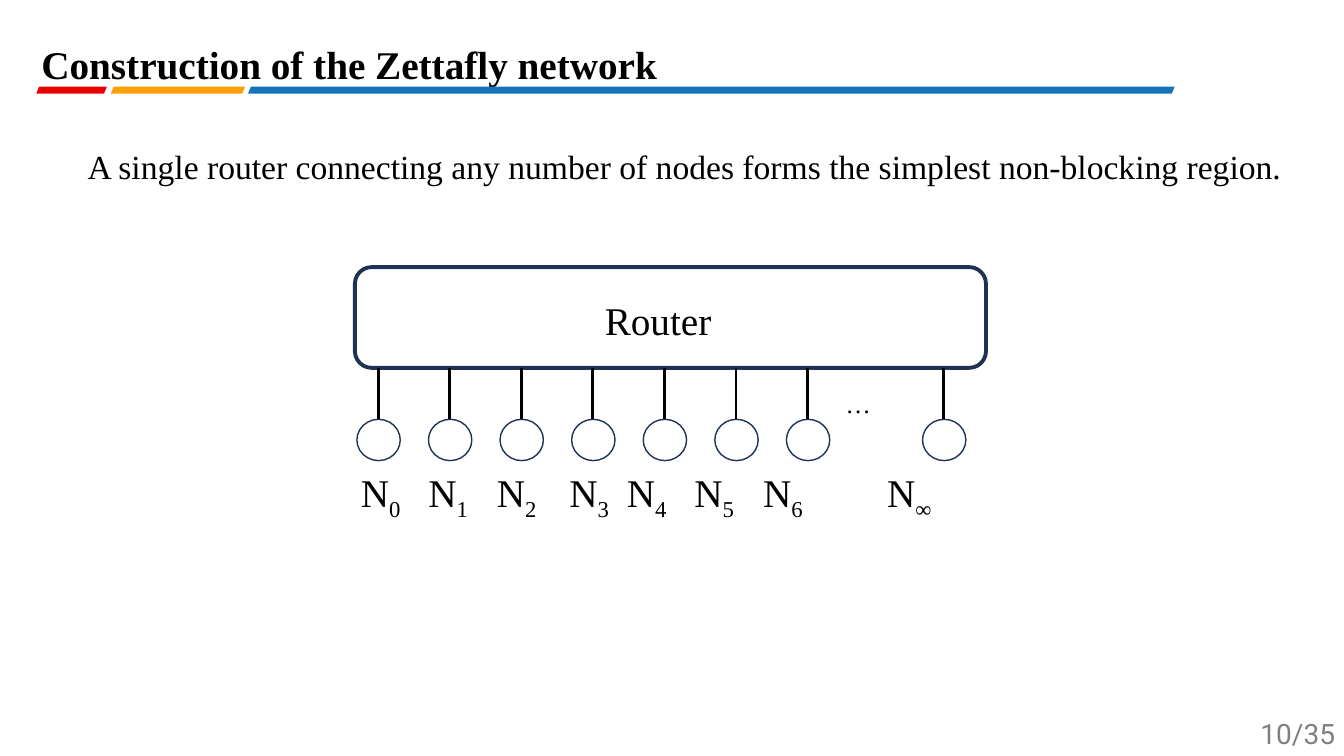
from lxml.etree import SubElement
from pptx import Presentation
from pptx.dml.color import RGBColor
from pptx.enum.shapes import MSO_CONNECTOR, MSO_SHAPE
from pptx.enum.text import MSO_ANCHOR, MSO_AUTO_SIZE, PP_ALIGN
from pptx.oxml.ns import qn
from pptx.util import Inches, Pt

HUES = {"blue": "1674BA", "red": "EB0000", "gold": "FD9F02", "gray": "808080",
        "black": "000000", "navy": "1E3256", "white": "FFFFFF"}
SERIF = "Times New Roman"


class Deck:
    """Hold the style and the current slide, and draw its elements."""

    def __init__(self):
        self.show = Presentation()
        self.show.slide_width, self.show.slide_height = Inches(13.33), Inches(7.5)
        self.slide = self.show.slides.add_slide(self.show.slide_layouts[5])

    def hue(self, name):
        return RGBColor.from_string(HUES[name])

    def style(self, para, size, hue="black", face=SERIF, bold=False):
        font = para.font
        font.size, font.name, font.bold = Pt(size), face, bold
        font.color.rgb = self.hue(hue)

    def title(self, text, *box):
        head = self.slide.shapes.title
        head.left, head.top, head.width, head.height = map(Inches, box)
        frame = head.text_frame
        frame.text = text
        frame.auto_size = MSO_AUTO_SIZE.NONE
        frame.vertical_anchor = MSO_ANCHOR.BOTTOM
        frame.margin_left = frame.margin_right = 0
        frame.margin_top = frame.margin_bottom = 0
        para = frame.paragraphs[0]
        para.alignment, para.line_spacing = PP_ALIGN.LEFT, 0.6
        self.style(para, 28, bold=True)

    def text(self, text, *box, size=28, hue="black", face=SERIF, align=PP_ALIGN.LEFT):
        frame = self.slide.shapes.add_textbox(*map(Inches, box)).text_frame
        frame.word_wrap = True
        para = frame.paragraphs[0]
        para.text, para.alignment = text, align
        self.style(para, size, hue, face)

    def labels(self, marks, stops, *box):
        frame = self.slide.shapes.add_textbox(*map(Inches, box)).text_frame
        frame.word_wrap = True
        para = frame.paragraphs[0]
        tabs = SubElement(para._p.get_or_add_pPr(), qn("a:tabLst"))
        for stop in stops:
            SubElement(tabs, qn("a:tab"), pos=str(Inches(stop)), algn="l")
        for i, mark in enumerate(marks):
            para.add_run().text = "\tN" if i else "N"
            low = para.add_run()
            low.text = mark
            low._r.get_or_add_rPr().set("baseline", "-25000")
        self.style(para, 28)

    def shape(self, kind, *box, fill=None, line=None, width=1):
        form = self.slide.shapes.add_shape(kind, *map(Inches, box))
        form.shadow.inherit = False
        if fill:
            form.fill.solid()
            form.fill.fore_color.rgb = self.hue(fill)
        else:
            form.fill.background()
        if line:
            form.line.color.rgb = self.hue(line)
            form.line.width = Pt(width)
        else:
            form.line.fill.background()
        return form

    def bar(self, left, width, fill):
        form = self.shape(MSO_SHAPE.PARALLELOGRAM, left, 0.86, width, 0.07, fill=fill)
        form.adjustments[0] = 0.4

    def node(self, left):
        self.shape(MSO_SHAPE.OVAL, left, 4.16, 0.43, 0.41, fill="white", line="navy")
        mid = left + 0.21
        ends = map(Inches, (mid, 3.65, mid, 4.16))
        link = self.slide.shapes.add_connector(MSO_CONNECTOR.STRAIGHT, *ends)
        link.line.color.rgb = self.hue("black")
        link.line.width = Pt(2)
        SubElement(link._element.spPr, qn("a:effectLst"))


def main():
    deck = Deck()
    for left, width, fill in ((2.46, 9.19, "blue"), (0.36, 0.7, "red"), (1.1, 1.33, "gold")):
        deck.bar(left, width, fill)
    deck.text("10/35", 12.2, 7.06, 1.14, 0.44, size=20, hue="gray",
              face="Roboto", align=PP_ALIGN.RIGHT)
    deck.title("Construction of the Zettafly network", 0.41, 0, 11.24, 0.85)
    deck.text("A single router connecting any number of nodes forms the simplest "
              "non-blocking region.", 0.77, 1.4, 12.11, 0.5, size=24)
    deck.shape(MSO_SHAPE.ROUNDED_RECTANGLE, 3.52, 2.65, 6.26, 1, line="navy", width=2.75)
    deck.text("Router", 5.9, 2.89, 1.81, 0.55)
    for left in [3.54 + 0.71 * i for i in range(7)] + [9.15]:
        deck.node(left)
    deck.text("…", 8.29, 3.8, 0.9, 0.77, size=18)
    deck.labels("0123456∞", (0.67, 1.35, 2.07, 2.64, 3.31, 3.99, 5.22),
                3.48, 4.6, 7.87, 0.57)
    deck.show.save("out.pptx")


if __name__ == "__main__":
    main()
